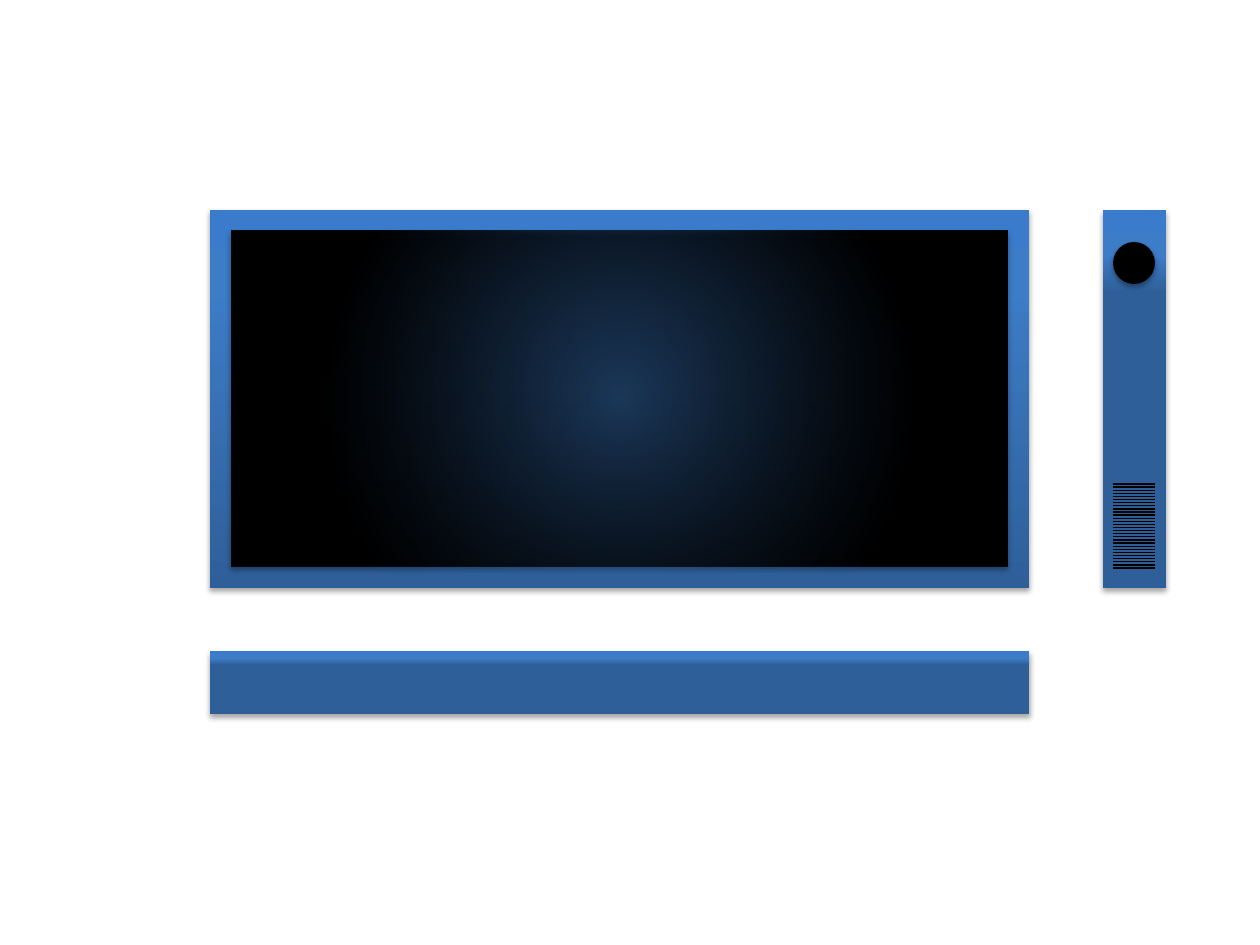
from pptx import Presentation, util as u
from pptx.dml.color import RGBColor
from pptx.enum import shapes
from pptx.oxml import parse_xml

PX = u.Inches(1) / 126
NS = 'xmlns:a="http://schemas.openxmlformats.org/drawingml/2006/main"'
COLORS = {"dark": "2F5F99", "mid": "3D7CC7", "light": "3A7CCB", "black": "000000"}

# Gradient stops: percent, colour, opacity in percent
UP = '<a:lin ang="16200000" scaled="0"/>'
ROUND = ('<a:path path="circle"><a:fillToRect l="50000" t="50000" '
         'r="50000" b="50000"/></a:path>')
CASE = ([(0, "dark", 100), (80, "mid", 100), (100, "light", 100)], UP)
EDGE = ([(78, "dark", 100), (88, "mid", 100), (100, "light", 100)], UP)
GLOW = ([(0, "black", 42), (71, "black", 100), (100, "black", 100)], ROUND)

# Left, top, width, height in px, then the fill
PANELS = [
    (210, 210, 819, 378, CASE),
    (210, 651, 819, 63, EDGE),
    (231, 231, 777, 336, GLOW),
    (1103, 210, 63, 378, EDGE),
]
LENS = (1113, 242, 42, 42)
GRILLE = {"left": 1113, "right": 1155, "top": 484, "bottom": 568, "count": 28}


def emu(*px):
    return [round(n * PX) for n in px]


def grad(stops, way):
    """Return the XML element of a gradient fill."""
    marks = "".join(
        f'<a:gs pos="{pos * 1000}"><a:srgbClr val="{COLORS[name]}">'
        f'<a:alpha val="{alpha * 1000}"/></a:srgbClr></a:gs>'
        for pos, name, alpha in stops)
    return parse_xml(f'<a:gradFill {NS} rotWithShape="1">'
                     f'<a:gsLst>{marks}</a:gsLst>{way}</a:gradFill>')


def shade(shape):
    """Drop the outline and cast a soft shadow straight down."""
    shape.line.fill.background()
    shape._element.spPr.append(parse_xml(
        f'<a:effectLst {NS}><a:outerShdw blurRad="{u.Pt(3.1)}" dist="{u.Pt(1.8)}" '
        f'dir="5400000" rotWithShape="0"><a:srgbClr val="{COLORS["black"]}">'
        '<a:alpha val="35000"/></a:srgbClr></a:outerShdw></a:effectLst>'))


def main():
    deck = Presentation()
    deck.slide_width, deck.slide_height = u.Inches(10), u.Inches(7.5)
    items = deck.slides.add_slide(deck.slide_layouts[6]).shapes
    black = RGBColor.from_string(COLORS["black"])

    for *box, (stops, way) in PANELS:
        panel = items.add_shape(shapes.MSO_SHAPE.RECTANGLE, *emu(*box))
        panel._element.spPr.append(grad(stops, way))
        shade(panel)

    lens = items.add_shape(shapes.MSO_SHAPE.OVAL, *emu(*LENS))
    lens.fill.solid()
    lens.fill.fore_color.rgb = black
    shade(lens)

    step = (GRILLE["bottom"] - GRILLE["top"]) / (GRILLE["count"] - 1)
    for i in range(GRILLE["count"]):
        y = GRILLE["top"] + i * step
        slat = items.add_connector(
            shapes.MSO_CONNECTOR.STRAIGHT,
            *emu(GRILLE["left"], y, GRILLE["right"], y))
        slat.line.color.rgb = black
        slat.line.width = u.Pt(0.75)
        slat._element.spPr.append(parse_xml(f"<a:effectLst {NS}/>"))

    deck.save("out.pptx")


if __name__ == "__main__":
    main()
